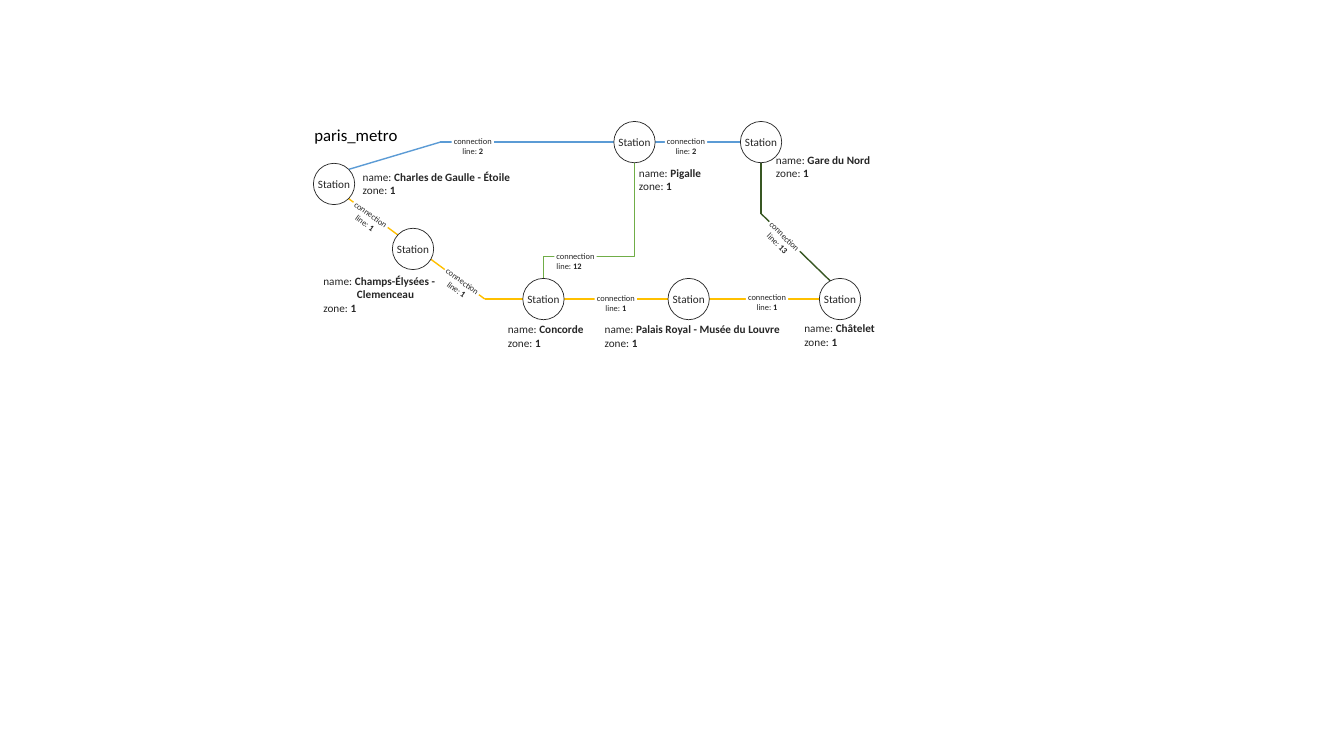
from dataclasses import dataclass
from itertools import pairwise

from lxml.etree import SubElement
from pptx import Presentation
from pptx.dml.color import RGBColor
from pptx.enum.shapes import MSO_CONNECTOR, MSO_SHAPE
from pptx.enum.text import MSO_ANCHOR, MSO_AUTO_SIZE, PP_ALIGN
from pptx.oxml.ns import qn
from pptx.util import Pt

Point = tuple[float, float]
Runs = list[tuple[str, bool]]


@dataclass(frozen=True)
class Theme:
    """Colours, type sizes and common lengths in points."""
    font: str = "Calibri"
    ink: str = "262626"
    black: str = "000000"
    paper: str = "FFFFFF"
    line_1: str = "FFC000"
    line_2: str = "5B9BD5"
    line_12: str = "70AD47"
    line_13: str = "385723"
    title_size: float = 12
    body_size: float = 8
    label_size: float = 6
    station_diameter: float = 29.5
    label_width: float = 30.2
    label_height: float = 14.4
    label_inset: float = 1.5
    name_indent: float = 24


@dataclass(frozen=True)
class Station:
    """A metro stop with its centre and its caption box."""
    name: tuple[str, ...]
    center: Point
    caption: Point
    caption_width: float


@dataclass(frozen=True)
class Label:
    """A connection label with its line number and centre."""
    line: str
    center: Point
    rotation: float = 0
    align: PP_ALIGN = PP_ALIGN.CENTER


THEME = Theme()
TOP, BOTTOM = 101.5, 213.6
CAPTION_TOP = 226.8

STATIONS = [
    Station(("Charles de Gaulle - Étoile",), (238.6, 131.4), (252, 118), 120.2),
    Station(("Champs-Élysées -", "Clemenceau"), (295, 177.8), (223.9, 192.2), 96.5),
    Station(("Concorde",), (388.2, BOTTOM), (355.7, CAPTION_TOP), 69.1),
    Station(("Palais Royal - Musée du Louvre",), (491.9, BOTTOM), (424.8, CAPTION_TOP), 142.6),
    Station(("Châtelet",), (600, BOTTOM), (567.4, 226.1), 65.5),
    Station(("Gare du Nord",), (543.6, TOP), (547.2, 105.8), 85),
    Station(("Pigalle",), (453.2, TOP), (449.3, 115.2), 59),
]
ROUTES = [
    (THEME.line_1, [(227.5, 126), (346.3, BOTTOM), (585.4, BOTTOM)]),
    (THEME.line_2, [(540, TOP), (314.6, TOP), (249.1, 121)]),
    (THEME.line_13, [(543.6, 116), (543.6, 152.6), (593.3, 200.9)]),
]
LABELS = [
    Label("1", (262.8, 156.2), 35.7),
    Label("1", (328.3, 203.8), 35.7),
    Label("1", (439.9, 216.7)),
    Label("1", (547.9, 216)),
    Label("2", (337.7, 104.4)),
    Label("2", (490, 104.4)),
    Label("12", (411.1, 186.5), align=PP_ALIGN.LEFT),
    Label("13", (558, 171.4), 45),
]


def write_lines(frame, lines: list[Runs], size: float, color: str = THEME.ink,
                align: PP_ALIGN = PP_ALIGN.LEFT) -> None:
    """Write each line as a paragraph of plain and bold runs."""
    for index, runs in enumerate(lines):
        paragraph = frame.paragraphs[0] if index == 0 else frame.add_paragraph()
        paragraph.alignment = align
        for text, bold in runs:
            run = paragraph.add_run()
            run.text = text
            run.font.name = THEME.font
            run.font.size = Pt(size)
            run.font.bold = bold
            run.font.color.rgb = RGBColor.from_string(color)


def add_line(slide, start: Point, end: Point, color: str, kind=MSO_CONNECTOR.STRAIGHT):
    """Draw a one-point connector without a shadow."""
    connector = slide.shapes.add_connector(kind, *map(Pt, (*start, *end)))
    connector.line.color.rgb = RGBColor.from_string(color)
    connector.line.width = Pt(1)
    SubElement(connector._element.spPr, qn("a:effectLst"))
    return connector


def add_elbow(slide, start: Point, end: Point, color: str, bend: float) -> None:
    """Draw an elbow that leaves downwards and turns left at the given share."""
    middle_x, middle_y = (start[0] + end[0]) / 2, (start[1] + end[1]) / 2
    half_width, half_height = (end[1] - start[1]) / 2, (start[0] - end[0]) / 2
    connector = add_line(slide, (middle_x - half_width, middle_y - half_height),
                         (middle_x + half_width, middle_y + half_height),
                         color, MSO_CONNECTOR.ELBOW)
    properties = connector._element.spPr
    properties.find(qn("a:xfrm")).set("rot", str(90 * 60000))
    geometry = properties.find(qn("a:prstGeom"))
    adjustments = geometry.find(qn("a:avLst"))
    if adjustments is None:
        adjustments = SubElement(geometry, qn("a:avLst"))
    SubElement(adjustments, qn("a:gd"), name="adj1", fmla=f"val {round(bend * 100000)}")


def add_box(slide, kind: MSO_SHAPE, center: Point, width: float, height: float, inset: float):
    """Add a white shape around a centre, with tight margins."""
    shape = slide.shapes.add_shape(kind, Pt(center[0] - width / 2), Pt(center[1] - height / 2),
                                   Pt(width), Pt(height))
    shape.shadow.inherit = False
    shape.fill.solid()
    shape.fill.fore_color.rgb = RGBColor.from_string(THEME.paper)
    shape.line.fill.background()
    frame = shape.text_frame
    frame.word_wrap = False
    frame.margin_left = frame.margin_right = Pt(inset)
    frame.margin_top = frame.margin_bottom = 0
    return shape


def add_station(slide, station: Station) -> None:
    """Draw the circle of a station."""
    diameter = THEME.station_diameter
    circle = add_box(slide, MSO_SHAPE.OVAL, station.center, diameter, diameter, 0)
    circle.line.color.rgb = RGBColor.from_string(THEME.ink)
    circle.line.width = Pt(0.5)
    circle.text_frame.vertical_anchor = MSO_ANCHOR.MIDDLE
    write_lines(circle.text_frame, [[("Station", False)]], THEME.body_size,
                align=PP_ALIGN.CENTER)


def add_caption(slide, station: Station) -> None:
    """Write the name and zone of a station."""
    first, *others = station.name
    lines = [[("name: ", False), (first, True)], *[[(part, True)] for part in others],
             [("zone: ", False), ("1", True)]]
    box = slide.shapes.add_textbox(*map(Pt, (*station.caption, station.caption_width,
                                             7.2 + 9.7 * len(lines))))
    frame = box.text_frame
    frame.word_wrap = False
    frame.auto_size = MSO_AUTO_SIZE.SHAPE_TO_FIT_TEXT
    write_lines(frame, lines, THEME.body_size)
    for paragraph in frame.paragraphs[1:-1]:
        paragraph._p.get_or_add_pPr().set("marL", str(Pt(THEME.name_indent)))


def add_label(slide, label: Label) -> None:
    """Place a connection label over its line."""
    box = add_box(slide, MSO_SHAPE.RECTANGLE, label.center, THEME.label_width,
                  THEME.label_height, THEME.label_inset)
    box.rotation = label.rotation
    box.text_frame.vertical_anchor = MSO_ANCHOR.TOP
    box.text_frame.auto_size = MSO_AUTO_SIZE.SHAPE_TO_FIT_TEXT
    write_lines(box.text_frame, [[("connection", False)], [("line: ", False), (label.line, True)]],
                THEME.label_size, align=label.align)


presentation = Presentation()
presentation.slide_width, presentation.slide_height = Pt(960), Pt(540)
slide = presentation.slides.add_slide(presentation.slide_layouts[6])

title = slide.shapes.add_textbox(Pt(217.4), Pt(85.7), Pt(75.6), Pt(21.6))
title.text_frame.word_wrap = True
write_lines(title.text_frame, [[("paris_metro", False)]], THEME.title_size, THEME.black)

for route_color, stops in ROUTES:
    for start, end in pairwise(stops):
        add_line(slide, start, end, route_color)
add_elbow(slide, (453.2, 116.3), (388.2, 198.8), THEME.line_12, 0.81)

for station in STATIONS:
    add_station(slide, station)
for label in LABELS:
    add_label(slide, label)
for station in STATIONS:
    add_caption(slide, station)

presentation.save("out.pptx")
